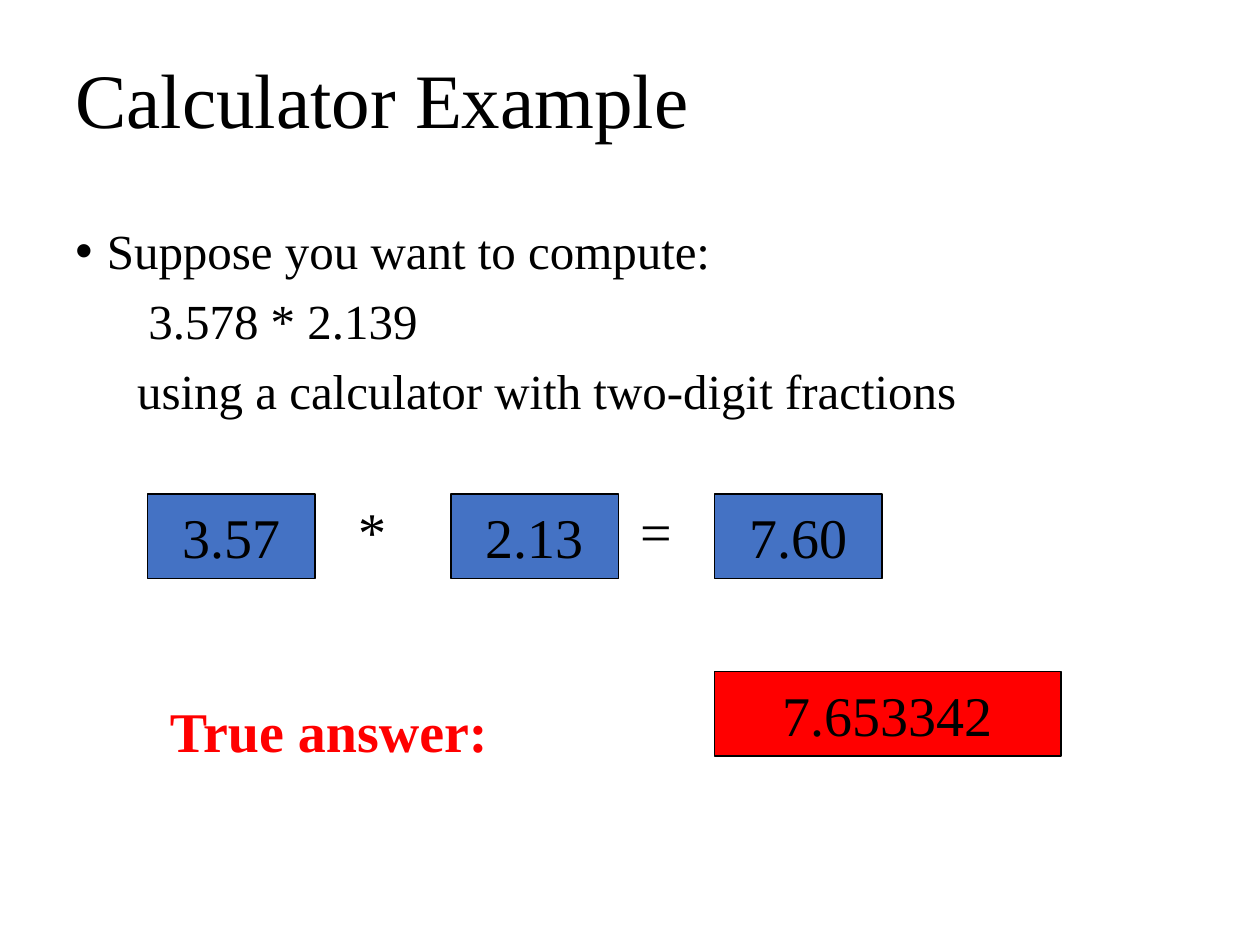
from pptx import Presentation
from pptx.dml.color import RGBColor
from pptx.enum.shapes import MSO_SHAPE
from pptx.enum.text import MSO_ANCHOR, PP_ALIGN
from pptx.oxml import parse_xml
from pptx.oxml.ns import nsdecls
from pptx.util import Inches, Pt

RECT, OVAL = MSO_SHAPE.RECTANGLE, MSO_SHAPE.OVAL
TOP, MIDDLE = MSO_ANCHOR.TOP, MSO_ANCHOR.MIDDLE
CENTER = PP_ALIGN.CENTER

FONT = "Times New Roman"
BLACK = RGBColor(0, 0, 0)
BLUE = RGBColor(0x44, 0x72, 0xC4)
RED = RGBColor(0xFF, 0, 0)

TITLE = "Calculator Example"
# text, left margin, first-line indent, bullet
BODY = [
    ("Suppose you want to compute:", 0.25, -0.25, "•"),
    ("3.578 * 2.139", 0.58, 0, None),
    ("using a calculator with two-digit fractions", 0.49, 0, None),
]
ROW, TRUE_ROW = 3.92, 5.33
# text, left, top, width, fill
VALUES = [
    ("3.57", 1.17, ROW, 1.33, BLUE),
    ("2.13", 3.58, ROW, 1.33, BLUE),
    ("7.60", 5.67, ROW, 1.33, BLUE),
    ("7.653342", 5.67, TRUE_ROW, 2.75, RED),
]
SIGNS = [("*", 2.58), ("=", 4.83)]
LABEL = "True answer:"


def write(para, text, size, color=BLACK, bold=False):
    run = para.add_run()
    run.text = text
    font = run.font
    font.name, font.size, font.bold = FONT, Pt(size), bold
    font.color.rgb = color


def add_box(slide, left, top, width, height, anchor=TOP):
    """Add a wrapping text box and return its text frame."""
    box = slide.shapes.add_textbox(
        Inches(left), Inches(top), Inches(width), Inches(height))
    frame = box.text_frame
    frame.word_wrap = True
    frame.vertical_anchor = anchor
    return frame


def add_cell(slide, kind, text, left, top, width, height, fill=None):
    """Add a shape with centred text; without a fill it has no outline."""
    shape = slide.shapes.add_shape(
        kind, Inches(left), Inches(top), Inches(width), Inches(height))
    shape.shadow.inherit = False
    if fill is None:
        shape.fill.background()
        shape.line.fill.background()
    else:
        shape.fill.solid()
        shape.fill.fore_color.rgb = fill
        shape.line.color.rgb = BLACK
        shape.line.width = Pt(0.75)
    frame = shape.text_frame
    frame.word_wrap = False
    frame.vertical_anchor = MIDDLE
    para = frame.paragraphs[0]
    para.alignment = CENTER
    write(para, text, 32)


def add_body(slide):
    frame = add_box(slide, 0.5, 1.75, 9, 2)
    for i, (text, margin, indent, mark) in enumerate(BODY):
        para = frame.add_paragraph() if i else frame.paragraphs[0]
        para.line_spacing = 0.9
        para.space_before = Pt(10)
        props = para._p.get_or_add_pPr()
        props.set("marL", str(Inches(margin)))
        props.set("indent", str(Inches(indent)))
        if mark:
            props.append(parse_xml(
                f'<a:buFont {nsdecls("a")} typeface="Arial"/>'))
            props.append(parse_xml(
                f'<a:buChar {nsdecls("a")} char="{mark}"/>'))
        write(para, text, 28)


def main():
    deck = Presentation()
    deck.slide_width, deck.slide_height = Inches(10), Inches(7.5)
    slide = deck.slides.add_slide(deck.slide_layouts[6])

    title = add_box(slide, 0.5, 0.1, 8.62, 1.45, MIDDLE).paragraphs[0]
    title.line_spacing = 0.9
    write(title, TITLE, 44)
    add_body(slide)

    for text, left, top, width, fill in VALUES:
        add_cell(slide, RECT, text, left, top, width, 0.67, fill)
    for text, left in SIGNS:
        add_cell(slide, OVAL, text, left, ROW, 0.75, 0.58)

    label = add_box(slide, 1.25, 5.48, 4.25, 0.63).paragraphs[0]
    write(label, LABEL, 32, RED, True)
    deck.save("out.pptx")


if __name__ == "__main__":
    main()
